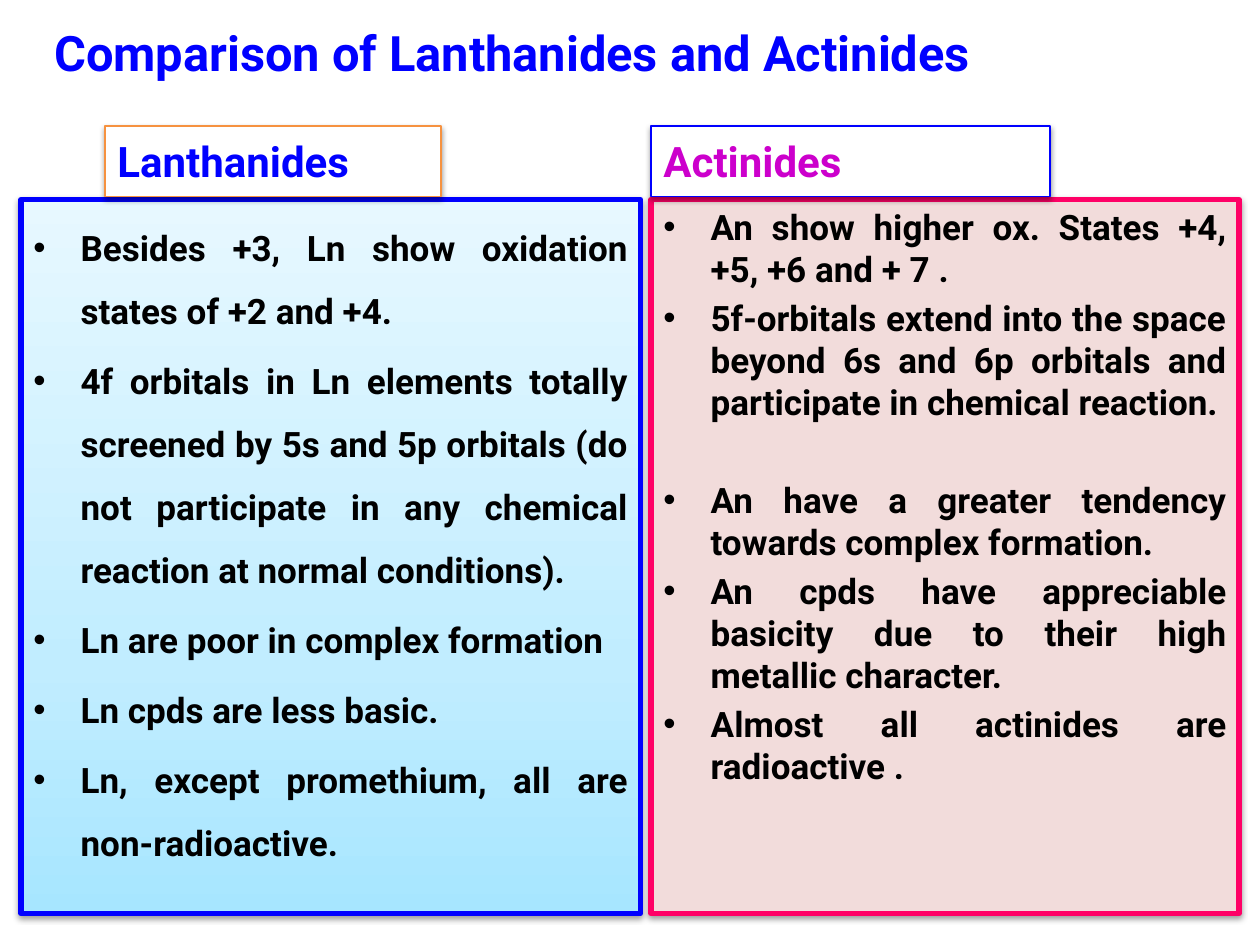
from copy import deepcopy

from lxml.etree import SubElement
from pptx import Presentation
from pptx.dml.color import RGBColor
from pptx.enum.shapes import MSO_SHAPE
from pptx.enum.text import MSO_ANCHOR, PP_ALIGN
from pptx.oxml.ns import qn
from pptx.util import Emu, Pt

PX = 7620  # 120 px to the inch
FONT = "Roboto"
COLORS = {
    "black": "000000",
    "white": "FFFFFF",
    "blue": "0000FF",
    "orange": "F69240",
    "magenta": "CC00CC",
    "pink": "FF0066",
    "rose": "F2DCDB",
    "sky": "A7E6FF",
    "light sky": "C1EDFF",
    "pale sky": "E7F8FF",
}
SKY_STOPS = [(0, "sky"), (0.35, "light sky"), (1, "pale sky")]

LANTHANIDES = [
    "Besides +3, Ln show oxidation states of +2 and +4. ",
    "4f orbitals in Ln elements totally screened by 5s and 5p orbitals "
    "(do not participate in any chemical reaction at normal conditions).",
    "Ln are poor in complex formation",
    "Ln cpds are less basic.",
    "Ln, except promethium, all are non-radioactive.",
]
ACTINIDES = [
    "An show higher ox. States +4, +5, +6 and + 7 .",
    "5f-orbitals extend into the space beyond 6s and 6p orbitals and "
    "participate in chemical reaction.",
    "An have a greater tendency towards complex formation.",
    "An cpds have appreciable basicity due to their high metallic character.",
    "Almost all actinides are radioactive .",
]


def px(value):
    return Emu(value * PX)


def rgb(name):
    return RGBColor.from_string(COLORS[name])


def set_all(target, values):
    for name, value in values.items():
        setattr(target, name, value)


class SlideBuilder:
    def __init__(self, slide):
        self.slide = slide

    def add_text(self, paragraph, text, size, color="black"):
        run = paragraph.add_run()
        run.text = text
        set_all(run.font, {"name": FONT, "size": Pt(size), "bold": True})
        run.font.color.rgb = rgb(color)

    def title(self, box, text):
        shape = self.slide.shapes.add_textbox(*map(px, box))
        set_all(shape.text_frame, {
            "word_wrap": True,
            "vertical_anchor": MSO_ANCHOR.MIDDLE,
            "margin_bottom": px(16),
        })
        self.add_text(shape.text_frame.paragraphs[0], text, 27.9, "blue")

    def box(self, box, fill, line, line_width, anchor):
        shape = self.slide.shapes.add_shape(MSO_SHAPE.RECTANGLE, *map(px, box))
        if isinstance(fill, list):
            self.gradient(shape, fill)
        else:
            shape.fill.solid()
            shape.fill.fore_color.rgb = rgb(fill)
        shape.line.color.rgb = rgb(line)
        shape.line.width = Pt(line_width)
        self.shadow(shape)
        set_all(shape.text_frame, {"word_wrap": True, "vertical_anchor": anchor})
        return shape.text_frame

    def gradient(self, shape, stops):
        shape.fill.gradient()
        shape.fill.gradient_angle = 90
        stop_list = shape._element.spPr.find(".//" + qn("a:gsLst"))
        stop_list.append(deepcopy(stop_list[-1]))
        for stop, (position, color) in zip(shape.fill.gradient_stops, stops):
            stop.position = position
            stop.color.rgb = rgb(color)

    def shadow(self, shape):
        shape.shadow.inherit = False
        effects = shape._element.spPr.find(qn("a:effectLst"))
        outer = SubElement(effects, qn("a:outerShdw"), blurRad="40000",
                           dist="20000", dir="5400000", rotWithShape="0")
        color = SubElement(outer, qn("a:srgbClr"), val=COLORS["black"])
        SubElement(color, qn("a:alpha"), val="38000")

    def label(self, box, text, color, line):
        frame = self.box(box, "white", line, 0.75, MSO_ANCHOR.MIDDLE)
        paragraph = frame.paragraphs[0]
        paragraph.alignment = PP_ALIGN.LEFT
        self.add_text(paragraph, text, 24, color)

    def bullet_panel(self, box, items, fill, line, spacing=1.0, wide_gap=None):
        """List the items; the one at index wide_gap stands a line further down."""
        frame = self.box(box, fill, line, 3, MSO_ANCHOR.TOP)
        for index, text in enumerate(items):
            paragraph = frame.add_paragraph() if index else frame.paragraphs[0]
            set_all(paragraph, {
                "alignment": PP_ALIGN.JUSTIFY,
                "line_spacing": spacing,
                "space_before": Pt(32 if index == wide_gap else 4),
            })
            properties = paragraph._p.get_or_add_pPr()
            indent = px(45)
            properties.set("marL", str(indent))
            properties.set("indent", str(-indent))
            SubElement(properties, qn("a:buFont"), typeface="Arial")
            SubElement(properties, qn("a:buChar"), char="•")
            self.add_text(paragraph, text, 20)


def main():
    presentation = Presentation()
    set_all(presentation, {"slide_width": px(1200), "slide_height": px(900)})
    builder = SlideBuilder(presentation.slides.add_slide(presentation.slide_layouts[6]))

    # Title
    builder.title((40, 20, 1030, 70), "Comparison of Lanthanides and Actinides")

    # Bullet panels
    builder.bullet_panel((20, 190, 590, 680), LANTHANIDES, SKY_STOPS, "blue", spacing=1.5)
    builder.bullet_panel((620, 190, 560, 680), ACTINIDES, "rose", "pink", wide_gap=2)

    # Column labels
    builder.label((100, 120, 320, 67), "Lanthanides", "blue", "orange")
    builder.label((620, 120, 380, 67), "Actinides", "magenta", "blue")

    presentation.save("out.pptx")


if __name__ == "__main__":
    main()
